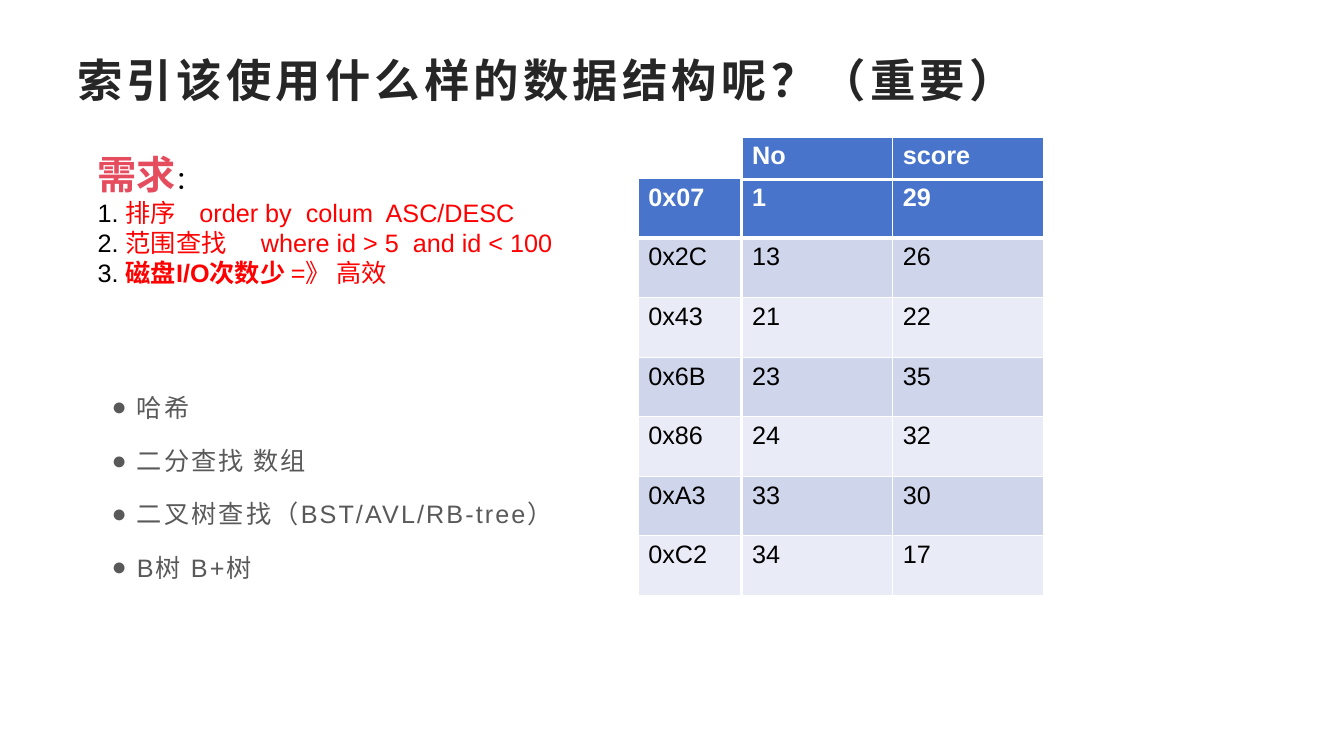
"""Build a slide on choosing a data structure for database indexes."""
import pptx
import pptx.dml.color
import pptx.enum.text
import pptx.oxml
import pptx.oxml.ns
import pptx.util
from lxml import etree

Inches = pptx.util.Inches
Pt = pptx.util.Pt
qn = pptx.oxml.ns.qn
WHITE, BLACK, RED, GRAY = "FFFFFF", "000000", "FF0000", "595959"
BLUE, BAND_DARK, BAND_LIGHT = "4874CB", "CFD6EC", "E9EBF6"


def write(para, text, color, size=18, bold=False, spacing=0):
    """Add one formatted run of text to a paragraph."""
    span = para.add_run()
    span.text = text
    span.font.name = "Arial"
    span.font.size = Pt(size)
    span.font.bold = bold
    span.font.color.rgb = pptx.dml.color.RGBColor.from_string(color)
    if spacing:
        span._r.get_or_add_rPr().set("spc", str(int(spacing * 100)))


def add_text(left, top, width, height):
    """Add a wrapping text box and return its text frame."""
    box = page.shapes.add_textbox(Inches(left), Inches(top), Inches(width), Inches(height))
    box.text_frame.word_wrap = True
    return box.text_frame


deck = pptx.Presentation()
deck.slide_width, deck.slide_height = Inches(13.33), Inches(7.5)
page = deck.slides.add_slide(deck.slide_layouts[6])

title = add_text(0.67, 0.4, 12, 0.77)
title.vertical_anchor = pptx.enum.text.MSO_ANCHOR.MIDDLE
write(title.paragraphs[0], "索引该使用什么样的数据结构呢？（重要）", "262626", 32.4, True, 3)

options = add_text(1.01, 3.75, 12, 2.69)
for index, option in enumerate(["哈希", "二分查找 数组", "二叉树查找（BST/AVL/RB-tree）", "B树 B+树"]):
    para = options.add_paragraph() if index else options.paragraphs[0]
    para.line_spacing = 1.3
    para.space_after = Pt(10)
    properties = para._p.get_or_add_pPr()
    properties.set("marL", str(Inches(0.25)))
    properties.set("indent", str(-Inches(0.25)))
    etree.SubElement(properties, qn("a:buFont")).set("typeface", "Arial")
    etree.SubElement(properties, qn("a:buChar")).set("char", "●")
    write(para, option, GRAY, spacing=1.5)

records = [
    ("0x07", "1", "29"),
    ("0x2C", "13", "26"),
    ("0x43", "21", "22"),
    ("0x6B", "23", "35"),
    ("0x86", "24", "32"),
    ("0xA3", "33", "30"),
    ("0xC2", "34", "17"),
]
column, row_height, header_height = 1.495, 0.591, 0.42
tables = [
    (7.36, 1.77, column, row_height, [record[1:] for record in records]),
    (6.33, 1.77, 1.02, row_height, [record[:1] for record in records]),
    (7.36, 1.36, column, header_height, [("No", "score")]),
]
for left, top, width, height, rows in tables:
    columns = len(rows[0])
    grid = page.shapes.add_table(
        len(rows), columns, Inches(left), Inches(top),
        Inches(width * columns), Inches(height * len(rows))).table
    grid.horz_banding = False
    for row, values in enumerate(rows):
        grid.rows[row].height = Inches(height)
        for position, value in enumerate(values):
            grid.columns[position].width = Inches(width)
            cell = grid.cell(row, position)
            first = row == 0
            write(cell.text_frame.paragraphs[0], value, WHITE if first else BLACK, bold=first)
            properties = cell._tc.get_or_add_tcPr()
            for side in ("lnL", "lnR", "lnT", "lnB"):
                thick = (side == "lnB" and first) or (side == "lnT" and row == 1)
                line = etree.SubElement(properties, qn("a:" + side))
                line.set("w", str(Pt(3 if thick else 1)))
                paint = etree.SubElement(line, qn("a:solidFill"))
                etree.SubElement(paint, qn("a:srgbClr")).set("val", WHITE)
            cell.fill.solid()
            shade = BLUE if first else (BAND_DARK if row % 2 else BAND_LIGHT)
            cell.fill.fore_color.rgb = pptx.dml.color.RGBColor.from_string(shade)

needs = add_text(0.87, 1.44, 4.97, 1.48)
heading = needs.paragraphs[0]
write(heading, "需求", "E54C5E", 28, True)
write(heading, "：", BLACK)
requirements = [
    ("排序\torder by  colum  ASC/DESC", "", 1.01),
    ("范围查找\twhere id > 5  and id < 100", "", 1.62),
    (" =》 高效", "磁盘I/O次数少", None),
]
for number, (text, strong, stop) in enumerate(requirements, 1):
    para = needs.add_paragraph()
    if stop:
        stops = etree.SubElement(para._p.get_or_add_pPr(), qn("a:tabLst"))
        tab = etree.SubElement(stops, qn("a:tab"))
        tab.set("pos", str(Inches(stop)))
        tab.set("algn", "l")
    write(para, f"{number}. ", BLACK)
    if strong:
        write(para, strong, RED, bold=True)
    write(para, text, RED)

deck.save("out.pptx")
